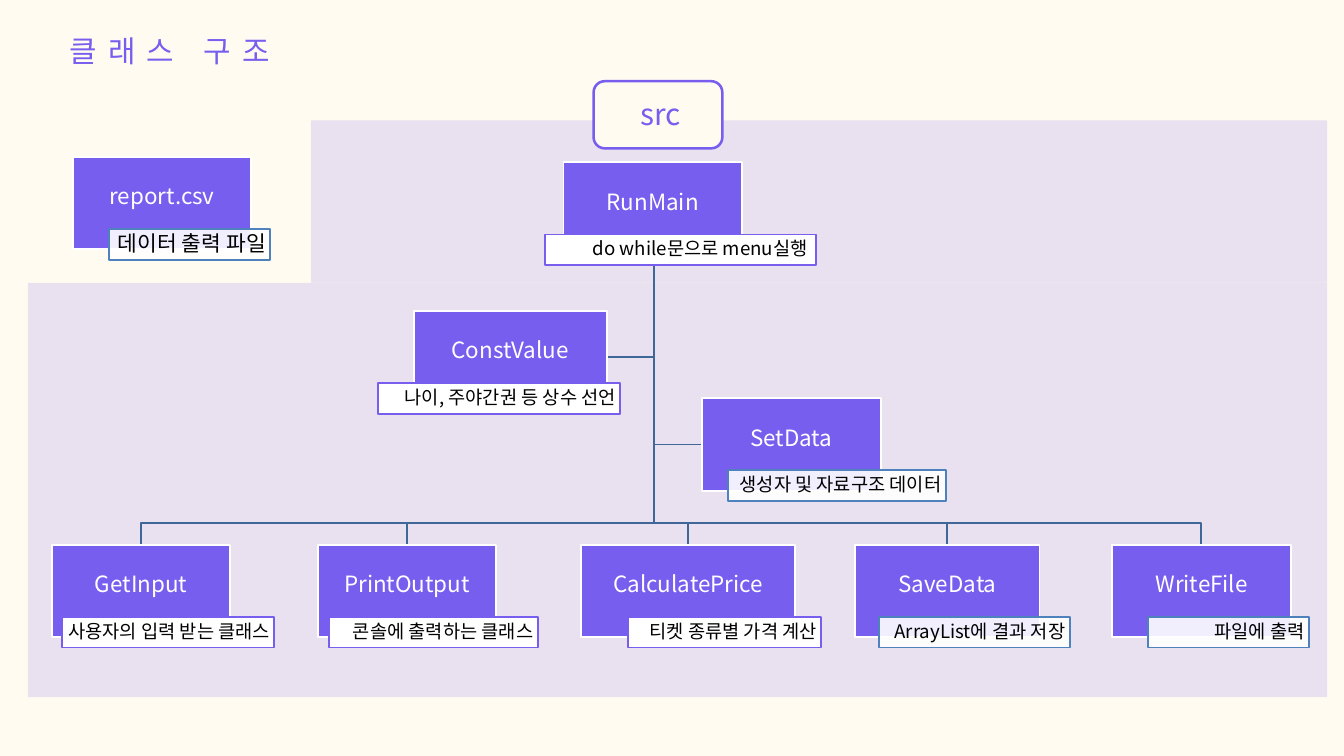
from lxml import etree
from pptx import Presentation
from pptx.dml.color import RGBColor
from pptx.enum.shapes import MSO_SHAPE
from pptx.enum.text import MSO_ANCHOR, MSO_AUTO_SIZE, PP_ALIGN
from pptx.oxml.ns import qn
from pptx.util import Pt

PX = 9525  # EMU per px, 96 px to the inch
RECT, ROUND_RECT = MSO_SHAPE.RECTANGLE, MSO_SHAPE.ROUNDED_RECTANGLE
CENTER, RIGHT = PP_ALIGN.CENTER, PP_ALIGN.RIGHT
TOP, MIDDLE = MSO_ANCHOR.TOP, MSO_ANCHOR.MIDDLE
NO_AUTOFIT = MSO_AUTO_SIZE.NONE

FONT = "Noto Sans CJK KR"
CREAM, PURPLE, WHITE, BLACK = "FFFBF0", "775EEE", "FFFFFF", "000000"
BLUE, LINK = "4F81BD", "3F6797"

TITLE = "클래스 구조"
PACKAGE = "src"
PANELS = [(40, 404, 1856, 592), (444, 172, 1452, 232)]

CARD_H, NOTE_DROP, NOTE_H = 132, 103, 44
TRUNK_X, TRUNK_TOP, BUS_Y, ROW_Y = 934, 365, 747, 778

# Class name, (left, top, width), note, (left, width), note border, note size
CARDS = [
    ("report.csv", (104, 224, 255), "데이터 출력 파일", (156, 230), BLUE, 23),
    ("RunMain", (805, 232, 255), "do while문으로 menu실행 ", (778, 388), PURPLE, 20),
    ("GetInput", (74, ROW_Y, 255), "사용자의 입력 받는 클래스 ", (88, 304), PURPLE, 20),
    ("PrintOutput", (454, ROW_Y, 255), "콘솔에 출력하는 클래스", (470, 298), PURPLE, 20),
    ("CalculatePrice", (830, ROW_Y, 306), "티켓 종류별 가격 계산", (897, 276), PURPLE, 20),
    ("SaveData", (1222, ROW_Y, 263), "ArrayList에 결과 저장", (1256, 272), BLUE, 20),
    ("WriteFile", (1589, ROW_Y, 255), "파일에 출력", (1640, 230), BLUE, 20),
    ("ConstValue", (591, 444, 276), "나이, 주야간권 등 상수 선언", (540, 346), PURPLE, 20),
    ("SetData", (1003, 569, 255), "생성자 및 자료구조 데이터", (1040, 311), BLUE, 20),
]
UNLINKED = ("report.csv", "RunMain")


def rgb(color):
    return RGBColor.from_string(color)


def write(shape, text, size, color, align=CENTER, anchor=MIDDLE,
          insets=(0, 0, 0, 0), line_spacing=1.0, tracking=0):
    frame = shape.text_frame
    frame.word_wrap = True
    frame.auto_size = NO_AUTOFIT
    frame.vertical_anchor = anchor
    (frame.margin_left, frame.margin_top,
     frame.margin_right, frame.margin_bottom) = [inset * PX for inset in insets]
    paragraph = frame.paragraphs[0]
    paragraph.alignment = align
    paragraph.line_spacing = line_spacing
    run = paragraph.add_run()
    run.text = text
    run.font.size = Pt(size)
    run.font.bold = False
    run.font.color.rgb = rgb(color)
    run.font.name = FONT
    properties = run.font._element
    etree.SubElement(properties, qn("a:ea")).set("typeface", FONT)
    if tracking:
        properties.set("spc", str(tracking * 100))


def add_box(slide, box, fill, border=None, weight=2, opacity=100, preset=RECT):
    shape = slide.shapes.add_shape(preset, *[length * PX for length in box])
    shape.shadow.inherit = False
    shape.fill.solid()
    shape.fill.fore_color.rgb = rgb(fill)
    if opacity < 100:
        tint = shape.fill._xPr.find(qn("a:solidFill"))[0]
        etree.SubElement(tint, qn("a:alpha")).set("val", str(opacity * 1000))
    if border:
        shape.line.color.rgb = rgb(border)
        shape.line.width = Pt(weight)
    else:
        shape.line.fill.background()
    return shape


def add_link(slide, points):
    builder = slide.shapes.build_freeform(*points[0], scale=PX)
    builder.add_line_segments(points[1:], close=False)
    link = builder.convert_to_shape()
    link.shadow.inherit = False
    link.fill.background()
    link.line.color.rgb = rgb(LINK)
    link.line.width = Pt(2)


def link_route(left, top, width):
    """Turn off the trunk to a card's top, or to its nearer side."""
    start = (TRUNK_X, TRUNK_TOP)
    if top == ROW_Y:
        center = left + width // 2
        return [start, (TRUNK_X, BUS_Y), (center, BUS_Y), (center, ROW_Y)]
    middle = top + CARD_H // 2
    edge = left if left > TRUNK_X else left + width
    return [start, (TRUNK_X, middle), (edge, middle)]


def main():
    deck = Presentation()
    deck.slide_width, deck.slide_height = 1920 * PX, 1080 * PX
    slide = deck.slides.add_slide(deck.slide_layouts[5])
    slide.background.fill.solid()
    slide.background.fill.fore_color.rgb = rgb(CREAM)

    # Title
    title = slide.shapes.title
    title.left, title.top, title.width, title.height = [
        length * PX for length in (-24, 47, 533, 36)]
    write(title, TITLE, 32, PURPLE, anchor=TOP, tracking=12)

    # Package area
    for panel in PANELS:
        add_box(slide, panel, PURPLE, opacity=16)

    # Links from RunMain to the other classes
    for name, place, *_ in CARDS:
        if name not in UNLINKED:
            add_link(slide, link_route(*place))

    # Class cards, each with its note
    for name, (left, top, width), note, (note_left, note_width), border, size in CARDS:
        card = add_box(slide, (left, top, width, CARD_H), PURPLE, WHITE)
        write(card, name, 24, WHITE, insets=(2, 2, 2, 18), line_spacing=0.9)
        label = add_box(slide, (note_left, top + NOTE_DROP, note_width, NOTE_H),
                        WHITE, border, opacity=90 if border == BLUE else 100)
        write(label, note, size, BLACK, align=RIGHT, insets=(6, 1, 6, 1),
              line_spacing=0.9)

    # Package tab
    tab = add_box(slide, (848, 116, 184, 96), CREAM, PURPLE, weight=2.75,
                  preset=ROUND_RECT)
    write(tab, PACKAGE, 32, PURPLE, insets=(8, 0, 0, 4))

    deck.save("out.pptx")


if __name__ == "__main__":
    main()
